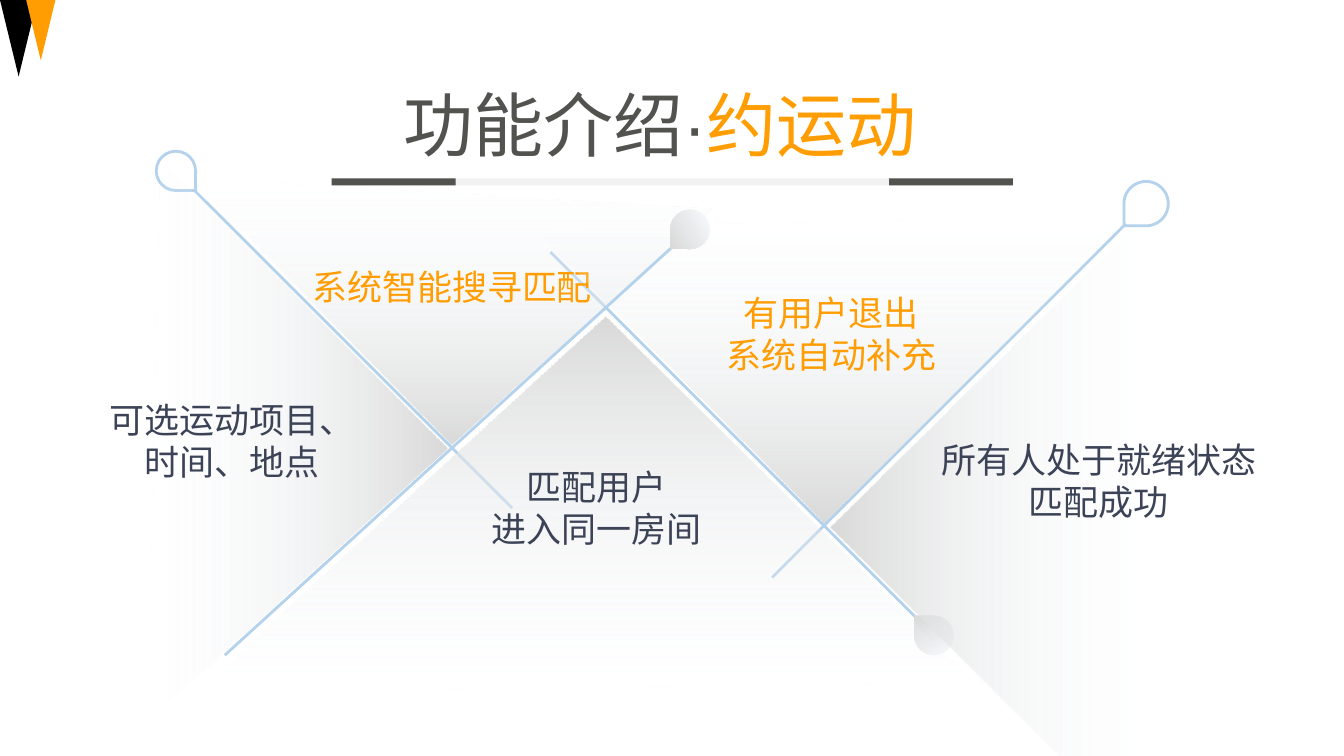
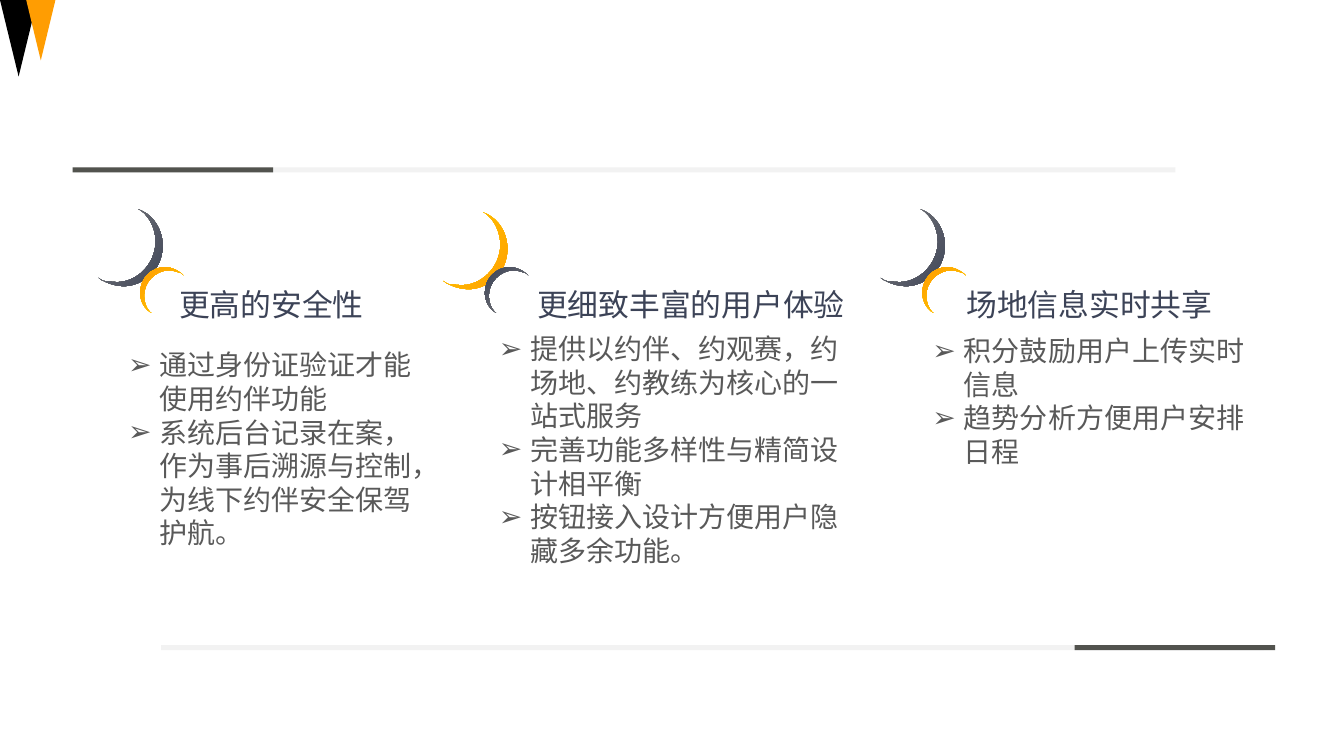
import math

import pptx
import pptx.dml.color
import pptx.enum.lang
import pptx.enum.shapes
import pptx.enum.text
import pptx.oxml.ns
import pptx.util
from lxml import etree

RGBColor = pptx.dml.color.RGBColor
PRESET = pptx.enum.shapes.MSO_SHAPE
ALIGN = pptx.enum.text.PP_ALIGN
qn = pptx.oxml.ns.qn

BLACK = RGBColor(0x00, 0x00, 0x00)
ORANGE = RGBColor(0xFF, 0x9D, 0x02)
YELLOW = RGBColor(0xFF, 0xCB, 0x00)
CHARCOAL = RGBColor(0x52, 0x53, 0x4E)
PALE = RGBColor(0xF2, 0xF2, 0xF2)
SLATE = RGBColor(0x3C, 0x43, 0x57)
GRAY = RGBColor(0x80, 0x80, 0x80)
BODY = RGBColor(0x59, 0x59, 0x59)
SKY = RGBColor(0xB5, 0xD2, 0xEC)
MIST = RGBColor(0xF7, 0xFA, 0xFD)
FOG = RGBColor(0xE8, 0xEA, 0xEB)
SILVER = RGBColor(0xD9, 0xD9, 0xD9)

FONT = "Arial"
COLUMNS, ROWS = 160, 90
CELL = pptx.util.Inches(7.5) / ROWS
HANG = pptx.util.Pt(22.5)

FADE = [(0, MIST, 0), (53, FOG, 51), (100, SILVER, 100)]
DROP = [(0, MIST, 100), (100, SILVER, 100)]
GOLD_SHEEN = [(0, YELLOW, 100), (100, ORANGE, 100)]
SLATE_SHEEN = [(0, GRAY, 100), (100, SLATE, 100)]

CRESCENT_START = (0.74, 0)
CRESCENT_STEPS = [
    [(0.91, 0.09), (1, 0.27), (1, 0.44)],
    [(1, 0.76), (0.74, 1), (0.42, 1)],
    [(0.28, 1), (0.12, 0.93), (0.02, 0.84)],
    [(0, 0.82)],
    [(0.05, 0.87)],
    [(0.14, 0.89), (0.23, 0.93), (0.33, 0.93)],
    [(0.65, 0.93), (0.91, 0.67), (0.91, 0.38)],
    [(0.91, 0.24), (0.86, 0.11), (0.77, 0.02)],
]


def grid(*cells):
    return [round(cell * CELL) for cell in cells]


def turn_back(points, degrees):
    centre_x, centre_y = ((min(axis) + max(axis)) / 2 for axis in zip(*points))
    cosine, sine = math.cos(math.radians(degrees)), math.sin(math.radians(degrees))
    return [(centre_x + (x - centre_x) * cosine + (y - centre_y) * sine,
             centre_y - (x - centre_x) * sine + (y - centre_y) * cosine)
            for x, y in points]


def write(paragraph, text, *, size, color, align=ALIGN.LEFT, bullet=None):
    paragraph.alignment = align
    paragraph.space_before = pptx.util.Pt(0)
    if bullet and not paragraph.runs:
        properties = paragraph._p.get_or_add_pPr()
        properties.set("marL", str(HANG))
        properties.set("indent", str(-HANG))
        etree.SubElement(properties, qn("a:buFont")).set("typeface", FONT)
        etree.SubElement(properties, qn("a:buChar")).set("char", bullet)
    run = paragraph.add_run()
    run.text = text
    font = run.font
    font.size = pptx.util.Pt(size)
    font.bold = False
    font.color.rgb = color
    font.name = FONT
    font.language_id = pptx.enum.lang.MSO_LANGUAGE_ID.SIMPLIFIED_CHINESE
    etree.SubElement(run._r.get_or_add_rPr(), qn("a:ea")).set("typeface", FONT)


class Deck:
    def __init__(self):
        self.presentation = pptx.Presentation()
        self.presentation.slide_width, self.presentation.slide_height = grid(COLUMNS, ROWS)
        self.slide = None

    def new_slide(self, layout):
        layouts = self.presentation.slide_layouts
        self.slide = self.presentation.slides.add_slide(layouts.get_by_name(layout))
        for box, color in (((0, 0, 4.44, 9.12), BLACK), ((3.12, 0, 3.48, 7.2), ORANGE)):
            pennant = self.shape(PRESET.ISOSCELES_TRIANGLE, *box, color=color)
            pennant._element.spPr.find(qn("a:xfrm")).set("flipV", "1")

    def finish(self, shape, color=None, stops=None, angle=0, outline=None):
        shape.shadow.inherit = False
        if stops:
            self.gradient(shape, stops, angle)
        elif color is not None:
            shape.fill.solid()
            shape.fill.fore_color.rgb = color
        else:
            shape.fill.background()
        if outline is None:
            shape.line.fill.background()
        else:
            shape.line.color.rgb = outline
            shape.line.width = pptx.util.Pt(2)

    def gradient(self, shape, stops, angle):
        shape.fill.gradient()
        shape.fill.gradient_angle = (360 - angle) % 360
        stop_list = shape._element.spPr.find(qn("a:gradFill")).find(qn("a:gsLst"))
        for stop in list(stop_list):
            stop_list.remove(stop)
        for position, color, opacity in stops:
            stop = etree.SubElement(stop_list, qn("a:gs"))
            stop.set("pos", str(position * 1000))
            tint = etree.SubElement(stop, qn("a:srgbClr"))
            tint.set("val", str(color))
            if opacity < 100:
                etree.SubElement(tint, qn("a:alpha")).set("val", str(opacity * 1000))

    def shape(self, preset, x, y, width, height, rotation=0, **style):
        shape = self.slide.shapes.add_shape(preset, *grid(x, y, width, height))
        shape.rotation = rotation
        self.finish(shape, **style)
        return shape

    def outline(self, points, rotation, **style):
        corners = [grid(*point) for point in points]
        builder = self.slide.shapes.build_freeform(*corners[0], scale=1.0)
        builder.add_line_segments(corners[1:], close=True)
        shape = builder.convert_to_shape()
        shape.rotation = rotation
        self.finish(shape, **style)
        return shape

    def crescent(self, x, y, width, height, rotation, stops):
        ends = [CRESCENT_START] + [step[-1] for step in CRESCENT_STEPS]
        shape = self.outline([(x + u * width, y + v * height) for u, v in ends],
                             rotation, stops=stops, angle=45)
        segments = list(shape._element.spPr.iter(qn("a:lnTo")))
        for segment, step in zip(segments, CRESCENT_STEPS):
            if len(step) == 3:
                curve = etree.Element(qn("a:cubicBezTo"))
                for u, v in step:
                    point = etree.SubElement(curve, qn("a:pt"))
                    for axis, value in zip("xy", grid(u * width, v * height)):
                        point.set(axis, str(value))
                segment.getparent().replace(segment, curve)

    def rule(self, x, y, width, height, accent_width, accent_starts):
        self.shape(PRESET.RECTANGLE, x, y, width, height, color=PALE)
        for start in accent_starts:
            self.shape(PRESET.RECTANGLE, start, y, accent_width, height, color=CHARCOAL)

    def arm(self, start, end, drop_box, rotation, **drop_style):
        line = self.slide.shapes.add_connector(
            pptx.enum.shapes.MSO_CONNECTOR.STRAIGHT, *grid(*start, *end))
        line.line.color.rgb = SKY
        line.line.width = pptx.util.Pt(2)
        etree.SubElement(line._element.spPr, qn("a:effectLst"))
        x, y, size = drop_box
        self.shape(PRESET.TEAR, x, y, size, size, rotation, **drop_style)

    def frame(self, holder, box, wrap=True):
        holder.left, holder.top, holder.width, holder.height = grid(*box)
        frame = holder.text_frame
        frame.word_wrap = wrap
        frame.vertical_anchor = pptx.enum.text.MSO_ANCHOR.TOP
        frame.auto_size = pptx.enum.text.MSO_AUTO_SIZE.SHAPE_TO_FIT_TEXT
        return frame

    def lines(self, frame, texts, **text_format):
        for index, text in enumerate(texts):
            paragraph = frame.add_paragraph() if index else frame.paragraphs[0]
            write(paragraph, text, **text_format)

    def title(self, box, parts):
        paragraph = self.frame(self.slide.shapes.title, box).paragraphs[0]
        for text, color in parts:
            write(paragraph, text, size=50, color=color)

    def label(self, box, texts, **text_format):
        holder = self.slide.shapes.add_textbox(*grid(*box))
        self.lines(self.frame(holder, box, wrap=False), texts, **text_format)

    def bullets(self, index, box, texts):
        frame = self.frame(self.slide.placeholders[index], box)
        self.lines(frame, texts, size=20, color=BODY, bullet="➢")

    def wedge(self, corners, rotation, label_box, texts, color):
        self.outline(turn_back(corners, rotation), rotation, stops=FADE, angle=270)
        self.label(label_box, texts, size=25, color=color, align=ALIGN.CENTER)

    def drop_empty_placeholders(self):
        for holder in list(self.slide.placeholders):
            if not holder.text_frame.text:
                holder._element.getparent().remove(holder._element)


def build_matching(deck):
    deck.new_slide("Title Only")
    deck.rule(39.48, 21.24, 81.12, 0.84, 14.76, (39.48, 105.84))
    deck.title((46.8, 9.12, 70.92, 11.28), [("功能介绍·", CHARCOAL), ("约运动", ORANGE)])

    deck.arm((23.04, 22.56), (60.96, 60.48), (18.6, 18, 4.68), 90, outline=SKY)
    deck.arm((109.08, 73.56), (65.52, 30), (108.84, 73.32, 4.68), 270,
             stops=DROP, angle=330)
    deck.arm((134.04, 26.64), (91.92, 68.76), (133.8, 21.6, 5.28), 180, outline=SKY)

    deck.wedge([(84.84, 24.84), (53.76, 52.92), (22.68, 21.24)], 180,
               (35.76, 30.96, 36.12, 6.24), ["系统智能搜寻匹配"], ORANGE)
    deck.wedge([(23.16, 82.44), (72.12, 37.68), (115.92, 81)], 0,
               (57.12, 54.84, 27.72, 11.28), ["匹配用户", "进入同一房间"], SLATE)
    deck.wedge([(134.76, 25.8), (98.04, 62.16), (63.48, 27.12)], 180,
               (85.08, 34.08, 27.72, 11.28), ["有用户退出", "系统自动补充"], ORANGE)
    deck.wedge([(136.68, 100.68), (98.88, 62.76), (136.2, 25.8)], 270,
               (110.64, 51.6, 40.32, 11.28), ["所有人处于就绪状态", "匹配成功"], SLATE)

    deck.arm((80.04, 29.4), (26.76, 78), (79.8, 24.96, 4.68), 180, stops=DROP, angle=330)
    deck.wedge([(19.08, 18.96), (53.28, 53.4), (17.52, 85.92)], 90,
               (11.64, 46.8, 31.92, 11.28), ["可选运动项目、", "时间、地点"], SLATE)


def build_advantages(deck):
    deck.new_slide("Comparison")
    deck.rule(19.2, 76.8, 131.28, 0.6, 23.88, (127.92,))
    deck.rule(8.64, 19.92, 131.28, 0.6, 23.88, (8.64,))
    dark_first = (SLATE_SHEEN, GOLD_SHEEN)
    advantages = [
        ("更高的安全性", (20.16, 33.48, 24.6, 5.64), (11.16, 25.2), dark_first,
         (14.04, 40.8, 38.4, 25.44),
         ["通过身份证验证才能使用约伴功能",
          "系统后台记录在案，作为事后溯源与控制，为线下约伴安全保驾护航。"]),
        ("更细致丰富的用户体验", (62.76, 33.48, 39.48, 5.64), (52.2, 25.56), dark_first[::-1],
         (58.2, 38.88, 44.04, 29.52),
         ["提供以约伴、约观赛，约场地、约教练为核心的一站式服务",
          "完善功能多样性与精简设计相平衡",
          "按钮接入设计方便用户隐藏多余功能。"]),
        ("场地信息实时共享", (113.88, 33.48, 32.04, 5.64), (104.28, 25.2), dark_first,
         (109.8, 39.12, 39.72, 17.4),
         ["积分鼓励用户上传实时信息", "趋势分析方便用户安排日程"]),
    ]
    for index, advantage in enumerate(advantages, start=1):
        heading, heading_box, (x, y), (large, small), list_box, points = advantage
        deck.label(heading_box, [heading], size=22, color=SLATE)
        deck.crescent(x, y, 8.28, 8.76, 349.6, large)
        deck.crescent(x + 5.52, 31.8, 5.16, 5.46, 180, small)
        deck.bullets(index, list_box, points)
    deck.drop_empty_placeholders()


def main():
    deck = Deck()
    build_matching(deck)
    build_advantages(deck)
    deck.presentation.save("out.pptx")


if __name__ == "__main__":
    main()
